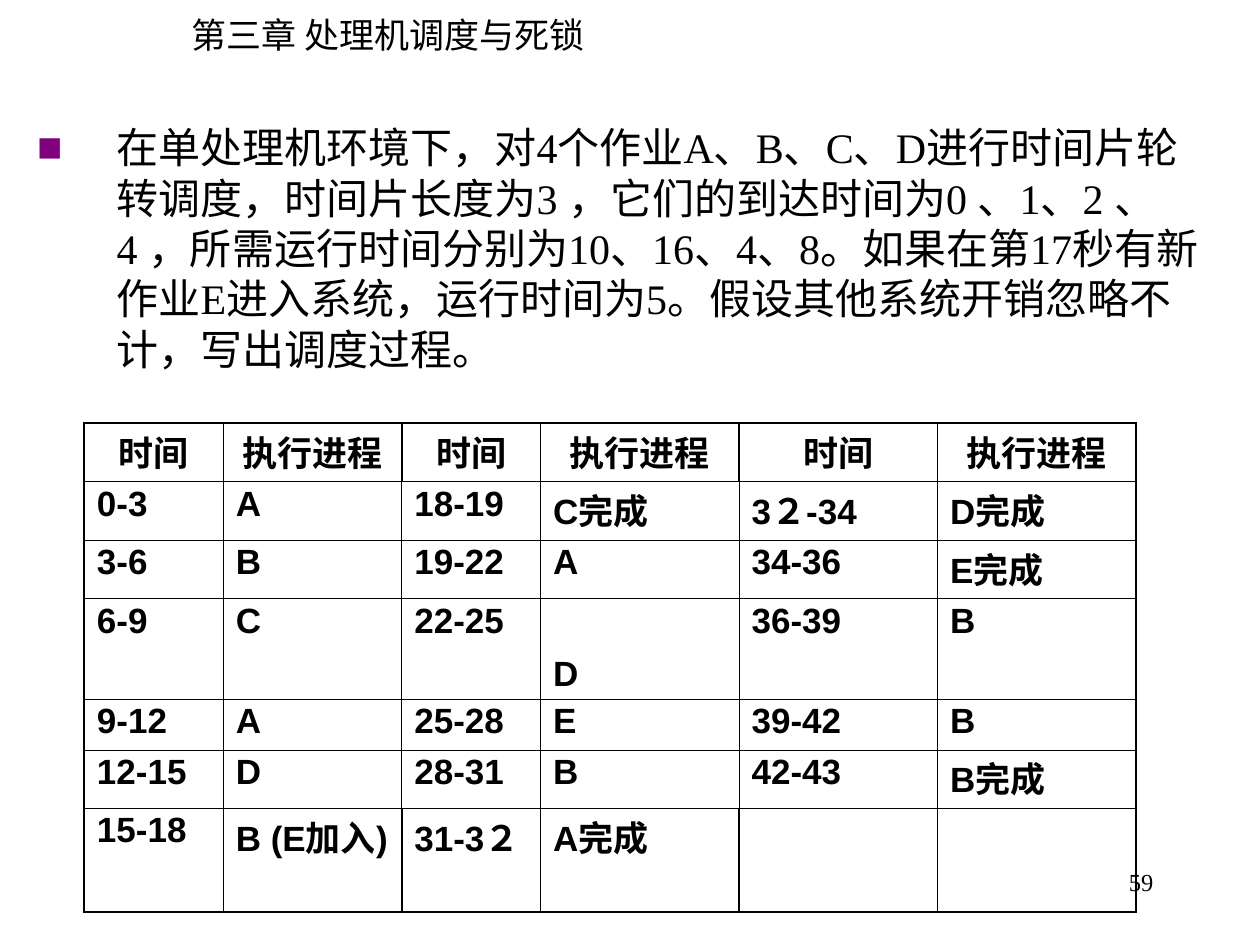
from pptx import Presentation
from pptx.dml.color import RGBColor
from pptx.enum.text import MSO_ANCHOR as Anchor, PP_ALIGN as Align
from pptx.oxml.ns import qn
from pptx.util import Cm, Pt
from lxml.etree import SubElement

CJK_FONT = "Noto Sans CJK JP"
SERIF = "Times New Roman"
SANS = "Arial"
BLACK = "000000"
PURPLE = "800080"

COLUMN_WIDTHS = [2.8, 3.6, 2.8, 4, 4, 4]
ROW_HEIGHTS = [1.18, 1.18, 1.18, 2.03, 1.02, 1.18, 2.08]
SCHEDULE = [
    ["时间", "执行进程"] * 3,
    ["0-3", "A", "18-19", "C完成", "3２-34", "D完成"],
    ["3-6", "B", "19-22", "A", "34-36", "E完成"],
    ["6-9", "C", "22-25", "D", "36-39", "B"],
    ["9-12", "A", "25-28", "E", "39-42", "B"],
    ["12-15", "D", "28-31", "B", "42-43", "B完成"],
    ["15-18", "B (E加入)", "31-3２", "A完成", "", ""],
]
LOW_CELL = (3, 3)  # this process sits at the foot of its tall row
QUESTION = (
    "在单处理机环境下，对4个作业A、B、C、D进行时间片轮转调度，"
    "时间片长度为3 ，它们的到达时间为0 、1、2 、4 ，"
    "所需运行时间分别为10、16、4、8。如果在第17秒有新作业E进入系统，"
    "运行时间为5。假设其他系统开销忽略不计，写出调度过程。"
)


def color(hex_value):
    return RGBColor.from_string(hex_value)


def add_text(paragraph, text, font_name, size, bold=False):
    run = paragraph.add_run()
    run.text = text
    font = run.font
    font.name, font.size, font.bold = font_name, Pt(size), bold
    font.color.rgb = color(BLACK)
    SubElement(run._r.get_or_add_rPr(), qn("a:ea"), typeface=CJK_FONT)


def add_bullet(paragraph, indent):
    properties = paragraph._p.get_or_add_pPr()
    properties.set("marL", str(indent))
    properties.set("indent", str(-indent))
    bullet_color = SubElement(properties, qn("a:buClr"))
    SubElement(bullet_color, qn("a:srgbClr"), val=PURPLE)
    SubElement(properties, qn("a:buFont"), typeface=SERIF)
    SubElement(properties, qn("a:buChar"), char="■")


def add_chapter(slide, left, top, width, height):
    chapter = slide.shapes.title
    chapter.left, chapter.top = Cm(left), Cm(top)
    chapter.width, chapter.height = Cm(width), Cm(height)
    frame = chapter.text_frame
    frame.word_wrap = False
    frame.vertical_anchor = Anchor.MIDDLE
    paragraph = frame.paragraphs[0]
    paragraph.alignment = Align.LEFT
    add_text(paragraph, "第三章 处理机调度与死锁", CJK_FONT, 20)


def add_box(slide, left, top, width, height):
    box = slide.shapes.add_textbox(Cm(left), Cm(top), Cm(width), Cm(height))
    box.text_frame.word_wrap = True
    return box.text_frame.paragraphs[0]


def add_question(slide, left, top, width, height):
    paragraph = add_box(slide, left, top, width, height)
    add_bullet(paragraph, Cm(1.6))
    paragraph.line_spacing = Pt(28.8)
    add_text(paragraph, QUESTION, SERIF, 24)


def add_page_number(slide, left, top, width, height):
    paragraph = add_box(slide, left, top, width, height)
    paragraph.alignment = Align.RIGHT
    add_text(paragraph, "59", SERIF, 14)


def set_borders(cell, thick_sides):
    properties = cell._tc.get_or_add_tcPr()
    for side in "LRTB":
        width = Pt(1.08 if side in thick_sides else 0.45)
        line = SubElement(properties, qn(f"a:ln{side}"), w=str(width))
        fill = SubElement(line, qn("a:solidFill"))
        SubElement(fill, qn("a:srgbClr"), val=BLACK)


def find_thick_sides(row, column):
    """Frame the table, and the column pairs in its first and last rows."""
    last_row, last_column = len(ROW_HEIGHTS) - 1, len(COLUMN_WIDTHS) - 1
    paired = row in (0, last_row)
    sides = {
        "L": column == 0 or paired and column % 2 == 0,
        "R": column == last_column or paired and column % 2 == 1,
        "T": row == 0,
        "B": row == last_row,
    }
    return [side for side, thick in sides.items() if thick]


def add_schedule(slide, left, top):
    schedule = slide.shapes.add_table(
        len(ROW_HEIGHTS), len(COLUMN_WIDTHS), Cm(left), Cm(top),
        Cm(sum(COLUMN_WIDTHS)), Cm(sum(ROW_HEIGHTS))).table
    schedule.first_row = schedule.horz_banding = False
    for column, width in zip(schedule.columns, COLUMN_WIDTHS):
        column.width = Cm(width)
    for row, height in zip(schedule.rows, ROW_HEIGHTS):
        row.height = Cm(height)

    for row, entries in enumerate(SCHEDULE):
        for column, entry in enumerate(entries):
            cell = schedule.cell(row, column)
            set_borders(cell, find_thick_sides(row, column))
            cell.fill.background()
            low = (row, column) == LOW_CELL
            cell.vertical_anchor = Anchor.BOTTOM if low else Anchor.TOP
            if entry:
                paragraph = cell.text_frame.paragraphs[0]
                paragraph.alignment = Align.CENTER if row == 0 else Align.LEFT
                paragraph.line_spacing = 0.9
                add_text(paragraph, entry, SANS, 20, bold=True)


def main():
    deck = Presentation()
    deck.slide_width, deck.slide_height = Cm(25.4), Cm(19.05)
    slide = deck.slides.add_slide(deck.slide_layouts[5])
    add_chapter(slide, 3.6, 0.13, 8.6, 1.12)
    add_page_number(slide, 18.2, 17.35, 5.3, 1.27)
    add_question(slide, 0.5, 2.33, 24.2, 5.4)
    add_schedule(slide, 1.7, 8.53)
    deck.save("out.pptx")


if __name__ == "__main__":
    main()
